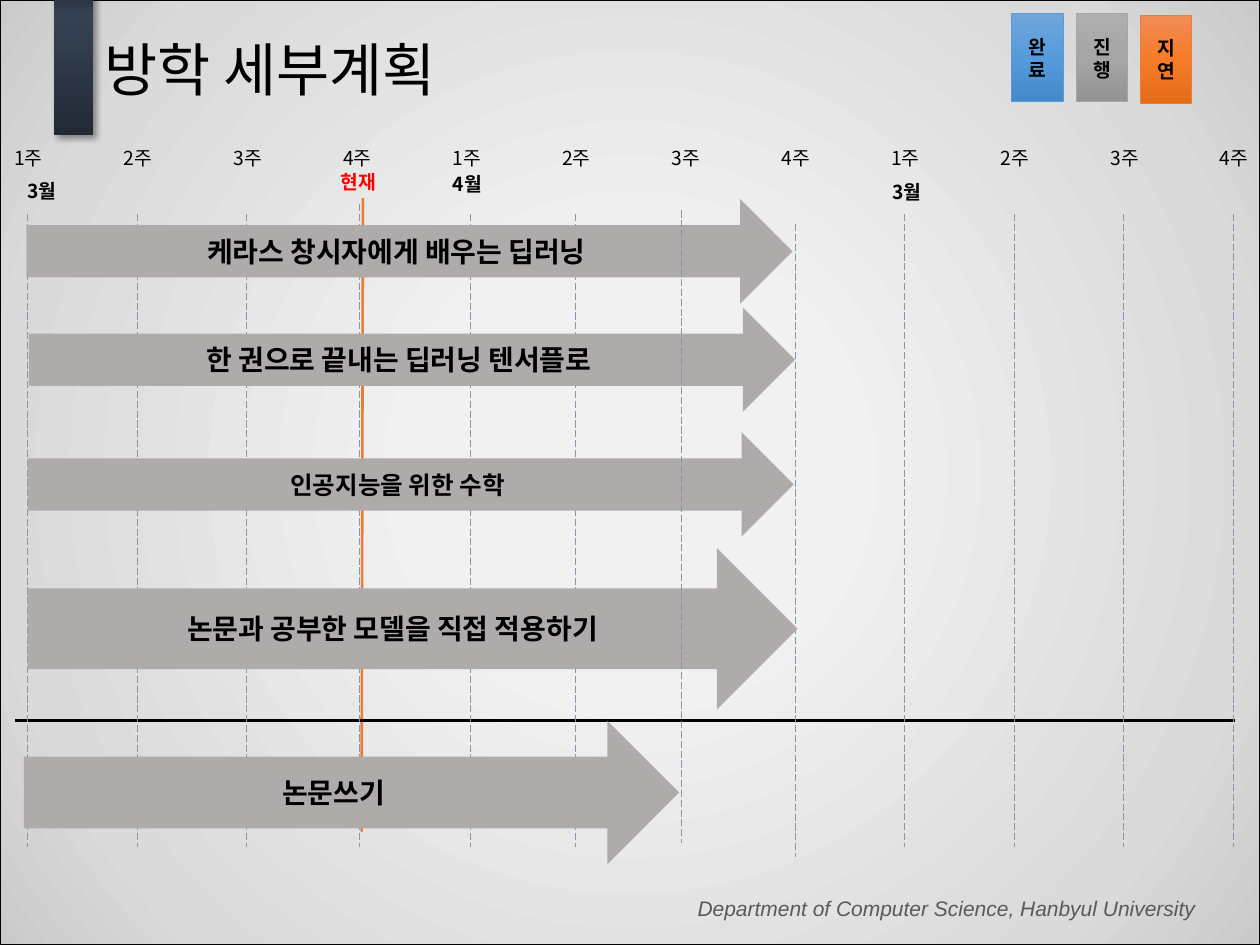
"""Build a vacation plan slide with a weekly timeline and task arrows."""
from pptx import Presentation
from pptx.dml.color import RGBColor
from pptx.enum.dml import MSO_LINE
from pptx.enum.shapes import MSO_CONNECTOR, MSO_SHAPE
from pptx.enum.text import MSO_ANCHOR, PP_ALIGN
from pptx.oxml import parse_xml
from pptx.oxml.ns import nsdecls, qn
from pptx.util import Inches, Pt

RECTANGLE, ARROW = MSO_SHAPE.RECTANGLE, MSO_SHAPE.RIGHT_ARROW
STRAIGHT, DASH = MSO_CONNECTOR.STRAIGHT, MSO_LINE.LONG_DASH
TOP, MIDDLE = MSO_ANCHOR.TOP, MSO_ANCHOR.MIDDLE
LEFT, CENTER, RIGHT = PP_ALIGN.LEFT, PP_ALIGN.CENTER, PP_ALIGN.RIGHT
KOREAN = "Noto Sans CJK KR"
rgb = RGBColor.from_string

deck = Presentation()
deck.slide_width, deck.slide_height = Inches(10), Inches(7.5)
page = deck.slides.add_slide(deck.slide_layouts[6])


def add_item(at, text="", size=11, bold=False, color="000000", align=CENTER, anchor=TOP,
             side=0.1, preset=None, fill=None, line=None, font=KOREAN, italic=False):
    """Add a text box, or a preset shape with a plain or gradient fill."""
    place = [Inches(length) for length in at]
    if preset is None:
        box = page.shapes.add_textbox(*place)
    else:
        box = page.shapes.add_shape(preset, *place)
        box.shadow.inherit = False
        if isinstance(fill, str):
            box.fill.solid()
            box.fill.fore_color.rgb = rgb(fill)
        else:
            stops, direction = fill
            marks = "".join(f'<a:gs pos="{spot * 1000}"><a:srgbClr val="{shade}"/></a:gs>'
                            for spot, shade in stops)
            box.fill.background()
            properties = box.element.spPr
            properties.replace(properties.find(qn("a:noFill")), parse_xml(
                f'<a:gradFill {nsdecls("a")} rotWithShape="1"><a:gsLst>{marks}</a:gsLst>'
                f'{direction}</a:gradFill>'))
        if line:
            box.line.color.rgb = rgb(line)
            box.line.width = Pt(0.5)
        else:
            box.line.fill.background()
    if text:
        frame = box.text_frame
        frame.word_wrap = True
        frame.vertical_anchor = anchor
        frame.margin_left = frame.margin_right = Inches(side)
        para = frame.paragraphs[0]
        para.alignment = align
        for index, part in enumerate(text.split("\n")):
            if index:
                para.add_line_break()
            span = para.add_run()
            span.text = part
            span.font.name, span.font.size = font, Pt(size)
            span.font.bold, span.font.italic = bold, italic
            span.font.color.rgb = rgb(color)
            span.font.fill
            span.font._element.append(parse_xml(f'<a:ea {nsdecls("a")} typeface="{font}"/>'))
    return box


def add_line(start, end, color, width, dash=None):
    """Add a straight line without a shadow."""
    line = page.shapes.add_connector(STRAIGHT, *[Inches(length) for length in start + end])
    line.line.color.rgb = rgb(color)
    line.line.width = Pt(width)
    if dash:
        line.line.dash_style = dash
    line.element.spPr.append(parse_xml(f'<a:effectLst {nsdecls("a")}/>'))


radial = ('<a:path path="circle"><a:fillToRect l="50000" t="50000" r="50000" b="50000"/>'
          '</a:path>')
upward, downward = ('<a:lin ang="16200000" scaled="0"/>', '<a:lin ang="5400000" scaled="0"/>')

add_item((0, 0, 10, 7.5), preset=RECTANGLE, line="000000",
         fill=([(27, "F1F1F1"), (80, "DADADA"), (100, "CACACA")], radial))
add_item((1.93, 7.06, 7.66, 0.3), "Department of Computer Science, Hanbyul University",
         size=12, color="595959", align=RIGHT, font="Arial", italic=True)
tab = add_item((0.43, -0.11, 0.31, 1.18), preset=RECTANGLE,
               fill=([(0, "222A35"), (80, "364355"), (100, "222A35")], upward))
tab.element.spPr.find(qn("a:effectLst")).append(parse_xml(
    f'<a:outerShdw {nsdecls("a")} blurRad="{Pt(4)}" dist="{Pt(3)}" dir="2700000" algn="tl" '
    'rotWithShape="0"><a:srgbClr val="000000"><a:alpha val="40000"/></a:srgbClr></a:outerShdw>'))

add_line((2.88, 1.57), (2.87, 6.6), "ED7D31", 1.5)
title = add_item((0.73, -0.15, 8.62, 1.45), "방학 세부계획", size=33, align=LEFT, anchor=MIDDLE)
title.text_frame.paragraphs[0].line_spacing = 0.9
add_line((0.12, 5.72), (9.8, 5.72), "000000", 1.5)

for left, top, status, line, shades in [
    (8.03, 0.11, "완\n료", "5B9BD5", ("71A6DB", "559BDB", "448ACA")),
    (8.54, 0.11, "진\n행", "A5A5A5", ("AFAFAF", "A5A5A5", "939393")),
    (9.05, 0.12, "지\n연", "ED7D31", ("F18C57", "F67B28", "E56C19")),
]:
    add_item((left, top, 0.41, 0.7), status, bold=True, anchor=MIDDLE, side=0,
             preset=RECTANGLE, fill=(list(zip((0, 50, 100), shades)), downward), line=line)

week_lines = [(0.22, 1.7), (1.09, 1.7), (1.96, 1.7), (2.85, 1.7), (2.85, 1.62), (3.73, 1.7),
              (4.57, 1.7), (6.31, 1.78), (7.18, 1.7), (8.05, 1.7), (8.92, 1.7), (9.79, 1.7)]
for x, top in week_lines:
    add_line((x, top), (x, top + 5.02), "8497B0", 0.5, DASH)
for week in range(12):
    add_item((-0.07 + 0.87 * week, 1.11, 0.59, 0.29), f"{week % 4 + 1}주")
for left, top, month in [(-0.16, 1.37, "3월"), (3.22, 1.32, "4월"), (6.69, 1.38, " 3월")]:
    add_item((left, top, 0.98, 0.29), month, bold=True)
add_item((2.62, 1.31, 0.45, 0.27), "현재", bold=True, color="FF0000", anchor=MIDDLE, side=0)

for at, task, size in [
    ((0.21, 1.58, 6.08, 0.83), "케라스 창시자에게 배우는 딥러닝", 16),
    ((0.23, 2.44, 6.08, 0.83), "한 권으로 끝내는 딥러닝 텐서플로", 16),
    ((0.22, 3.43, 6.08, 0.83), "인공지능을 위한 수학", 14),
    ((0.22, 4.35, 6.11, 1.28), "논문과 공부한 모델을 직접 적용하기", 16),
    ((0.19, 5.72, 5.2, 1.14), "논문쓰기", 16),
]:
    add_item(at, task, size=size, bold=True, anchor=MIDDLE, side=0, preset=ARROW, fill="AFABAB")
add_line((5.41, 1.67), (5.41, 6.69), "8497B0", 0.5, DASH)

deck.save("out.pptx")
